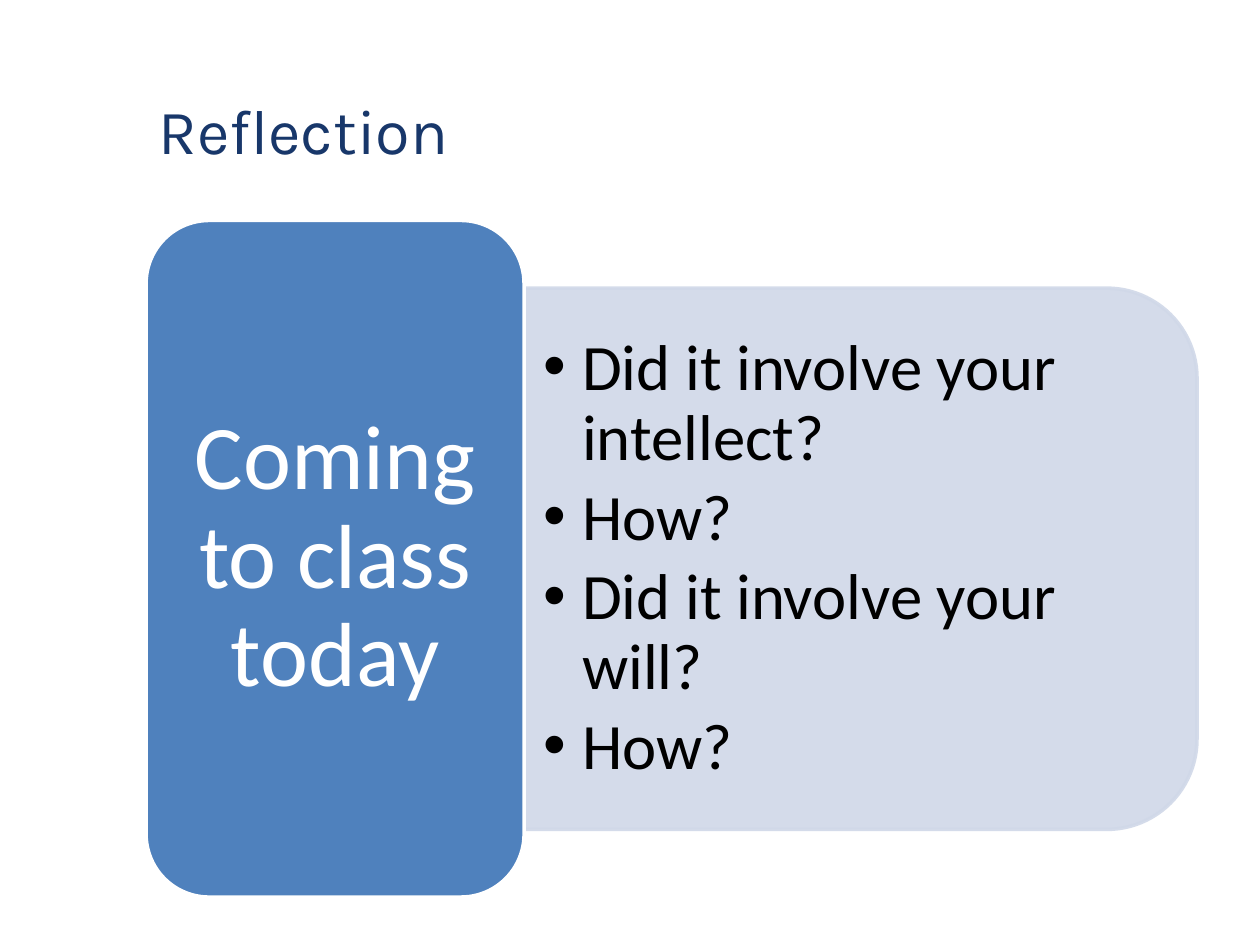
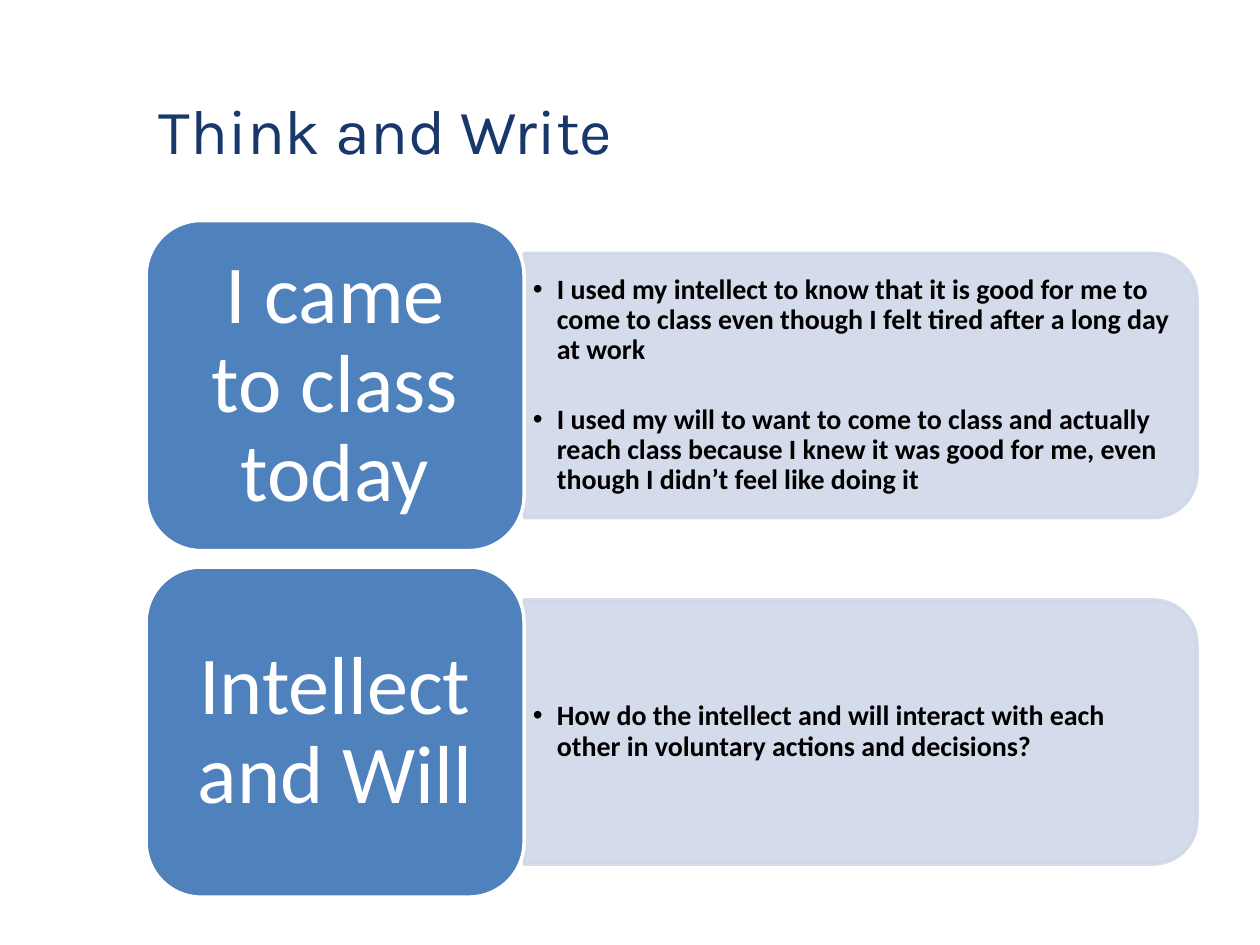
from lxml.etree import SubElement
from pptx import Presentation
from pptx.dml.color import RGBColor
from pptx.enum.shapes import MSO_SHAPE
from pptx.enum.text import MSO_ANCHOR, MSO_AUTO_SIZE, PP_ALIGN
from pptx.oxml.ns import qn
from pptx.util import Inches, Pt

# Shared colours and grid, in inches
NAVY, BLUE, PALE, WHITE, BLACK = "18376A", "4F81BD", "D0D8E8", "FFFFFF", "000000"
LEFT, TOP, HEIGHT, GAP = 1.16, 1.75, 5.37, 0.13
TILE_WIDTH, PANEL_WIDTH = 3.0, 5.34
PANEL_LEFT = LEFT + TILE_WIDTH

SLIDES = [
    dict(title="Reflection", layout=1, tile_size=52, tile_inset=0.22,
         list_size=37, list_inset=0.15, indent=0.31, bold=False, between=0,
         rows=[("Coming to class today",
                ["Did it involve your intellect?", "How?",
                 "Did it involve your will?", "How?"])]),
    dict(title="Think and Write", layout=3, tile_size=47, tile_inset=0.2,
         list_size=16, list_inset=0.07, indent=0.19, bold=True, between=20,
         rows=[("I came to class today",
                ["I used my intellect to know that it is good for me to come to class "
                 "even though I felt tired after a long day at work",
                 "I used my will to want to come to class and actually reach class "
                 "because I knew it was good for me, even though I didn’t feel like doing it"]),
               ("Intellect and Will",
                ["How do the intellect and will interact with each other in voluntary "
                 "actions and decisions?"])]),
]


def write(shape, lines, size, color, font="Calibri", bold=False, align=PP_ALIGN.LEFT,
          inset=0.1, spacing=0.9, after=0.0, between=0, indent=0):
    """Fill a shape with paragraphs; after is a share of the text size."""
    frame = shape.text_frame
    frame.text = "\n".join(lines)
    frame.word_wrap, frame.auto_size = True, MSO_AUTO_SIZE.NONE
    frame.vertical_anchor = MSO_ANCHOR.MIDDLE
    frame.margin_left = frame.margin_right = Inches(inset)
    frame.margin_top = frame.margin_bottom = Inches(inset / 2)
    for number, paragraph in enumerate(frame.paragraphs):
        paragraph.alignment, paragraph.line_spacing = align, spacing
        paragraph.space_before = Pt(between if number else 0)
        paragraph.space_after = Pt(size * after)
        if indent:
            properties = paragraph._p.get_or_add_pPr()
            properties.set("marL", str(Inches(indent)))
            properties.set("indent", str(-Inches(indent)))
        for run in paragraph.runs:
            run.font.name, run.font.size, run.font.bold = font, Pt(size), bold
            run.font.color.rgb = RGBColor.from_string(color)


def add_box(slide, kind, left, top, width, height, fill, line, opacity=100):
    shape = slide.shapes.add_shape(kind, Inches(left), Inches(top), Inches(width), Inches(height))
    shape.shadow.inherit = False
    shape.fill.solid()
    shape.fill.fore_color.rgb = RGBColor.from_string(fill)
    shape.line.color.rgb = RGBColor.from_string(line)
    shape.line.width = Pt(2)
    if opacity < 100:
        for color in shape.element.spPr.iter(qn("a:srgbClr")):
            SubElement(color, qn("a:alpha"), val=str(opacity * 1000))
    return shape


presentation = Presentation()
presentation.slide_width, presentation.slide_height = Inches(10), Inches(7.5)

for content in SLIDES:
    slide = presentation.slides.add_slide(presentation.slide_layouts[content["layout"]])

    # Title
    title = slide.shapes.title
    title.left, title.top, title.width, title.height = map(Inches, (LEFT, 0.6, 5.89, 0.86))
    write(title, [content["title"]], 36, NAVY, font="Karla", spacing=1.0)

    # Rows share the height equally
    rows = content["rows"]
    tile_height = (HEIGHT - GAP * (len(rows) - 1)) / len(rows)
    panel_height = tile_height * 0.8
    corner = panel_height * 0.05
    for index, (heading, items) in enumerate(rows):
        tile_top = TOP + index * (tile_height + GAP)
        panel_top = tile_top + tile_height * 0.1

        # Panel, turned so its rounded side faces right and kept behind the list
        offset = (PANEL_WIDTH - panel_height) / 2
        panel = add_box(slide, MSO_SHAPE.ROUND_2_SAME_RECTANGLE, PANEL_LEFT + offset,
                        panel_top - offset, panel_height, PANEL_WIDTH, PALE, PALE, opacity=90)
        panel.rotation = 90
        title.element.addnext(panel.element)

        # Questions and answers
        body = slide.placeholders[index + 1]
        body.left, body.top = Inches(PANEL_LEFT), Inches(panel_top + corner)
        body.width = Inches(PANEL_WIDTH - corner)
        body.height = Inches(panel_height - 2 * corner)
        write(body, items, content["list_size"], BLACK, bold=content["bold"],
              inset=content["list_inset"], after=0.15, between=content["between"],
              indent=content["indent"])

        # Heading tile
        tile = add_box(slide, MSO_SHAPE.ROUNDED_RECTANGLE, LEFT, tile_top,
                       TILE_WIDTH, tile_height, BLUE, WHITE)
        write(tile, [heading], content["tile_size"], WHITE, align=PP_ALIGN.CENTER,
              inset=content["tile_inset"], after=0.35)

presentation.save("out.pptx")
